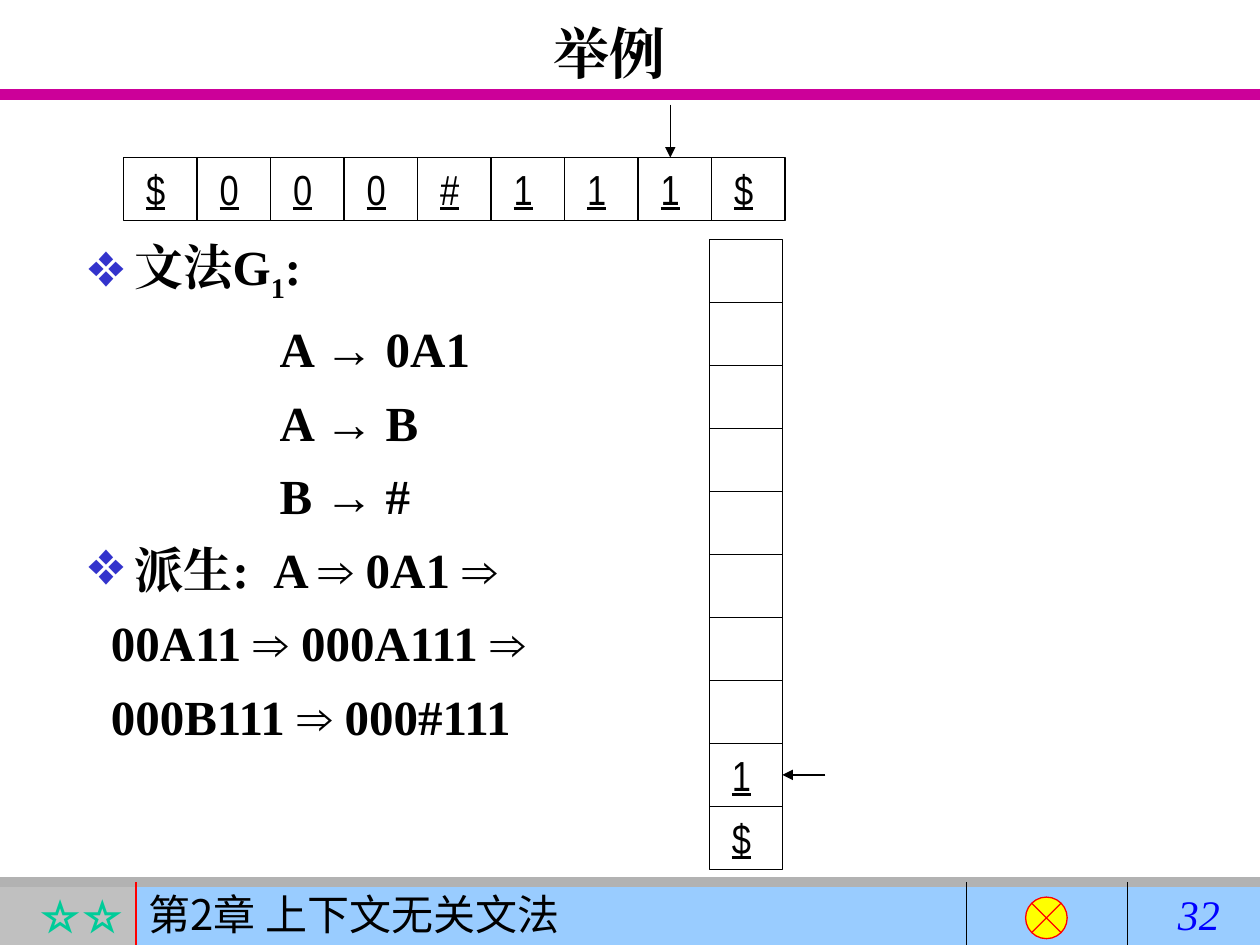
from pptx import Presentation
from pptx.dml.color import RGBColor
from pptx.enum.shapes import MSO_CONNECTOR, MSO_SHAPE
from pptx.enum.text import MSO_ANCHOR, MSO_AUTO_SIZE, PP_ALIGN
from pptx.oxml.ns import qn
from pptx.util import Inches, Pt
from lxml.etree import SubElement

SERIF, SANS, NARROW, CJK = "Times New Roman", "Arial", "Arial Narrow", "Noto Sans CJK SC"
BLACK = "000000"
TITLE = "举例"
# (kind, text); kinds are keys of INDENTS
BODY = [
    ("bullet", "文法G_1_:"),
    ("rule", "A → 0A1"),
    ("rule", "A → B"),
    ("rule", "B → #"),
    ("bullet", "派生:\tA ⇒ 0A1 ⇒"),
    ("step", "00A11 ⇒ 000A111 ⇒"),
    ("step", "000B111 ⇒ 000#111"),
]
INDENTS = {"bullet": (0.38, -0.38), "rule": (1.53, 0), "step": (0.19, 0)}
DERIVATION_TAB = 1.48
TAPE = "$000#111$"
STACK = [""] * 8 + ["1", "$"]
TAPE_LEFT, TAPE_TOP = 0.98, 1.25
STACK_LEFT, STACK_TOP = 5.63, 1.9
CELL_WIDTH, CELL_HEIGHT = 5.25 / 9, 0.5
FOOTER_TOP, FOOTER_HEIGHT = 7, 0.5
# (left, width, fill, text, font, size, colour, bold, italic, alignment)
FOOTER = [
    (0, 1.08, "C0C0C0", "☆☆", SERIF, "00CC99", True, False, PP_ALIGN.RIGHT),
    (1.08, 8.92, "99CCFF", "第2章 上下文无关文法", CJK, BLACK, False, False, PP_ALIGN.LEFT),
    (9.25, 0.75, None, "32", SERIF, "0000FF", False, True, PP_ALIGN.LEFT),
]
# (start x, start y, end x, end y, colour, width, arrow)
LINES = [
    (0, 0.75, 10, 0.75, "CC0099", 6, False),
    (0, 7, 10, 7, "B2B2B2", 6, False),
    (1.08, 7, 1.08, 7.5, "FF0000", 0.75, False),
    (7.67, 7, 7.67, 7.5, BLACK, 0.75, False),
    (8.95, 7, 8.95, 7.5, BLACK, 0.75, False),
    (5.32, 0.83, 5.32, 1.25, BLACK, 0.75, True),
    (6.55, 6.15, 6.21, 6.15, BLACK, 0.75, True),
]


def colour(value):
    """Turn a hex string into a colour."""
    return RGBColor.from_string(value)


def add_run(paragraph, text, font, size, shade=BLACK, bold=False, italic=False):
    """Add one formatted run and return it."""
    run = paragraph.add_run()
    run.text = text
    run.font.size = Pt(size)
    run.font.bold, run.font.italic = bold, italic
    run.font.color.rgb = colour(shade)
    run.font.name = font
    SubElement(run.font._element, qn("a:ea"), typeface=font)
    return run


def add_box(slide, kind, left, top, width, height, fill=None, line=None):
    """Add a flat preset shape with a middle-anchored text frame."""
    shape = slide.shapes.add_shape(kind, *map(Inches, (left, top, width, height)))
    shape.shadow.inherit = False
    for part, shade in ((shape.fill, fill), (shape.line.fill, line)):
        if shade:
            part.solid()
            part.fore_color.rgb = colour(shade)
        else:
            part.background()
    if line:
        shape.line.width = Pt(0.75)
    shape.text_frame.vertical_anchor = MSO_ANCHOR.MIDDLE
    shape.text_frame.paragraphs[0].alignment = PP_ALIGN.LEFT
    return shape


def add_cell(slide, left, top, symbol):
    """Add one tape or stack cell."""
    cell = add_box(slide, MSO_SHAPE.RECTANGLE, left, top, CELL_WIDTH, CELL_HEIGHT, line=BLACK)
    cell.text_frame.margin_left = Inches(0.18)
    cell.text_frame.margin_right = 0
    if symbol:
        run = add_run(cell.text_frame.paragraphs[0], symbol, NARROW, 24)
        run.font.underline = True


def add_line(slide, x1, y1, x2, y2, shade, width, arrow):
    """Add a straight line, with an arrowhead at its end if asked."""
    line = slide.shapes.add_connector(MSO_CONNECTOR.STRAIGHT, *map(Inches, (x1, y1, x2, y2)))
    line.line.color.rgb = colour(shade)
    line.line.width = Pt(width)
    if arrow:
        SubElement(line.line._get_or_add_ln(), qn("a:tailEnd"), type="triangle")
    SubElement(line._element.spPr, qn("a:effectLst"))


def place(placeholder, left, top, width, height):
    """Move a placeholder and anchor its text at the top."""
    placeholder.left, placeholder.top = Inches(left), Inches(top)
    placeholder.width, placeholder.height = Inches(width), Inches(height)
    frame = placeholder.text_frame
    frame.word_wrap = True
    frame.auto_size = MSO_AUTO_SIZE.NONE
    frame.vertical_anchor = MSO_ANCHOR.TOP
    return frame


def format_body(paragraph, kind, first, tabbed):
    """Set spacing, indent, bullet and tab of a body paragraph."""
    paragraph.alignment = PP_ALIGN.LEFT
    paragraph.space_before = Pt(0 if first else 8.4)
    properties = paragraph._p.get_or_add_pPr()
    margin, indent = INDENTS[kind]
    properties.set("marL", str(Inches(margin)))
    properties.set("indent", str(Inches(indent)))
    if kind == "bullet":
        SubElement(SubElement(properties, qn("a:buClr")), qn("a:srgbClr"), val="3333CC")
        SubElement(properties, qn("a:buFont"), typeface=SERIF)
        SubElement(properties, qn("a:buChar"), char="❖")
    else:
        SubElement(properties, qn("a:buNone"))
    if tabbed:
        tabs = SubElement(properties, qn("a:tabLst"))
        SubElement(tabs, qn("a:tab"), pos=str(Inches(DERIVATION_TAB)), algn="l")


def fill_body(frame):
    """Write the grammar and its derivation."""
    for index, (kind, text) in enumerate(BODY):
        paragraph = frame.add_paragraph() if index else frame.paragraphs[0]
        format_body(paragraph, kind, index == 0, "\t" in text)
        for position, piece in enumerate(text.split("_")):
            for arrow in "→⇒":
                piece = piece.replace(arrow, f"|{arrow}|")
            for part in filter(None, piece.split("|")):
                run = add_run(paragraph, part, SANS if part in "→⇒" else SERIF, 28, bold=True)
                if position == 1:
                    run.font._element.set("baseline", "-25000")


def main():
    """Build the slide and save it."""
    presentation = Presentation()
    presentation.slide_width, presentation.slide_height = Inches(10), Inches(7.5)
    slide = presentation.slides.add_slide(presentation.slide_layouts[1])

    title = place(slide.shapes.title, 0.59, 0.1, 8.5, 1.25).paragraphs[0]
    title.alignment = PP_ALIGN.CENTER
    add_run(title, TITLE, SERIF, 32, bold=True)
    fill_body(place(slide.placeholders[1], 0.59, 1.83, 5.79, 5.08))

    for left, width, fill, text, font, shade, bold, italic, alignment in FOOTER:
        box = add_box(slide, MSO_SHAPE.RECTANGLE, left, FOOTER_TOP, width, FOOTER_HEIGHT, fill)
        paragraph = box.text_frame.paragraphs[0]
        paragraph.alignment = alignment
        add_run(paragraph, text, font, 24, shade, bold, italic)
    add_box(slide, MSO_SHAPE.FLOWCHART_SUMMING_JUNCTION, 8.14, 7.12, 0.33, 0.33, "FFFF00", "FF0000")

    for column, symbol in enumerate(TAPE):
        add_cell(slide, TAPE_LEFT + column * CELL_WIDTH, TAPE_TOP, symbol)
    for row, symbol in enumerate(STACK):
        add_cell(slide, STACK_LEFT, STACK_TOP + row * CELL_HEIGHT, symbol)
    for line in LINES:
        add_line(slide, *line)
    presentation.save("out.pptx")


if __name__ == "__main__":
    main()
